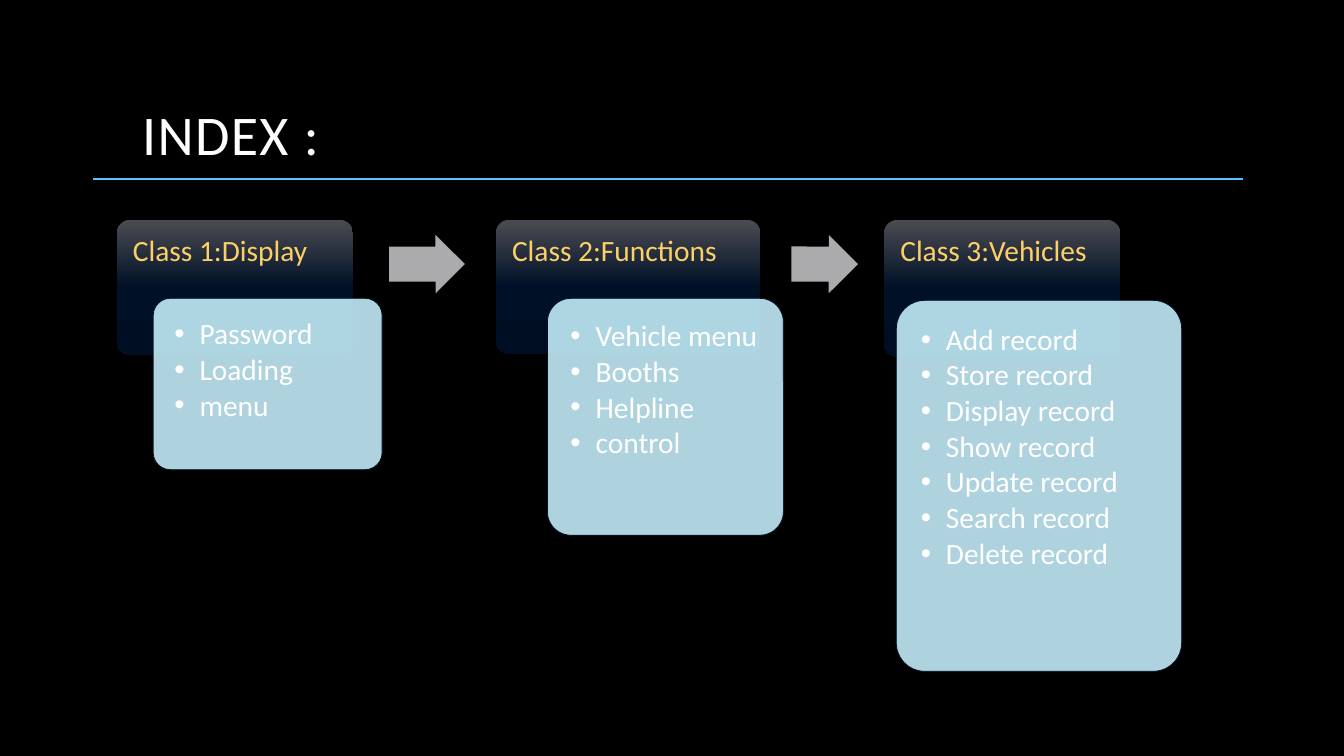
"""Build an index slide that lists three classes and their members."""
from copy import deepcopy
from dataclasses import dataclass

from lxml import etree
from pptx import Presentation
from pptx.dml.color import RGBColor
from pptx.enum import shapes, text
from pptx.oxml.ns import qn
from pptx.util import Inches, Pt


@dataclass(frozen=True)
class Theme:
    background: str = "000000"
    white: str = "FFFFFF"
    heading: str = "FDD067"
    card: str = "C1EBF7"
    card_line: str = "001027"
    arrow: str = "ABABAD"
    rule: str = "56C5FF"
    gradient: tuple = ((0, "4B4C52"), (0.5, "001027"), (1, "000E23"))
    font: str = "Calibri"
    title_size: int = 40
    body_size: int = 21


THEME = Theme()
HEADER_TOP = 2.18
ARROW_TOP = 2.33

CLASSES = [
    ("Class 1:Display", (1.16, 2.34, 1.34), (1.52, 2.96, 2.27, 1.7),
     ["Password", "Loading", "menu"]),
    ("Class 2:Functions", (4.92, 2.62, 1.33), (5.43, 2.96, 2.34, 2.35),
     ["Vehicle menu", "Booths", "Helpline", "control"]),
    ("Class 3:Vehicles", (8.77, 2.34, 1.36), (8.89, 2.98, 2.83, 3.68),
     ["Add record", "Store record", "Display record", "Show record",
      "Update record", "Search record", "Delete record"]),
]
ARROWS = [(3.86, 0.75, 359.9), (7.85, 0.66, 0.1)]


def color(value):
    return RGBColor.from_string(value)


def style_text(text_frame, size, value, space_after=0):
    for paragraph in text_frame.paragraphs:
        paragraph.alignment = text.PP_ALIGN.LEFT
        paragraph.line_spacing = 0.9
        paragraph.space_after = Pt(space_after)
        for run in paragraph.runs:
            run.font.name = THEME.font
            run.font.size = Pt(size)
            run.font.color.rgb = color(value)


def set_margins(text_frame, margin):
    text_frame.word_wrap = True
    text_frame.vertical_anchor = text.MSO_ANCHOR.TOP
    text_frame.margin_left = text_frame.margin_right = Inches(margin)
    text_frame.margin_top = text_frame.margin_bottom = Inches(margin)


def add_preset(slide, kind, box, adjustments):
    shape = slide.shapes.add_shape(kind, *map(Inches, box))
    shape.shadow.inherit = False
    for index, value in enumerate(adjustments):
        shape.adjustments[index] = value
    shape.line.fill.background()
    return shape


def fill_gradient(shape):
    shape.fill.gradient()
    shape.fill.gradient_angle = 270
    stop_list = shape.element.spPr.find(qn("a:gradFill")).find(qn("a:gsLst"))
    stop_list.append(deepcopy(stop_list[-1]))
    for stop, (position, value) in zip(shape.fill.gradient_stops, THEME.gradient):
        stop.position = position
        stop.color.rgb = color(value)


def add_bullet(paragraph):
    properties = paragraph._p.get_or_add_pPr()
    properties.set("marL", str(Inches(0.25)))
    properties.set("indent", str(-Inches(0.25)))
    etree.SubElement(properties, qn("a:buFont")).set("typeface", "Arial")
    etree.SubElement(properties, qn("a:buChar")).set("char", "•")


def add_title(slide, wording):
    title = slide.shapes.title
    title.left, title.top = Inches(1.31), Inches(0.42)
    title.width, title.height = Inches(10.35), Inches(1.29)
    title.text_frame.text = wording
    title.text_frame.vertical_anchor = text.MSO_ANCHOR.BOTTOM
    style_text(title.text_frame, THEME.title_size, THEME.white)
    run = title.text_frame.paragraphs[0].runs[0]
    run.font._element.set("spc", "100")


def add_header(slide, wording, left, width, height):
    header = add_preset(slide, shapes.MSO_SHAPE.ROUNDED_RECTANGLE,
                        (left, HEADER_TOP, width, height), [0.1])
    fill_gradient(header)
    header.text_frame.text = wording
    set_margins(header.text_frame, 0.12)
    style_text(header.text_frame, THEME.body_size, THEME.heading)


def add_card(slide, box, members):
    card = add_preset(slide, shapes.MSO_SHAPE.ROUNDED_RECTANGLE, box, [0.1])
    card.fill.solid()
    card.fill.fore_color.rgb = color(THEME.card)
    fill_color = card.element.spPr.find(qn("a:solidFill"))[0]
    etree.SubElement(fill_color, qn("a:alpha")).set("val", "90000")
    card.line.color.rgb = color(THEME.card_line)
    card.line.width = Pt(0.5)
    card.text_frame.text = "\n".join(members)
    set_margins(card.text_frame, 0.16)
    style_text(card.text_frame, THEME.body_size, THEME.white, space_after=2.8)
    for paragraph in card.text_frame.paragraphs:
        add_bullet(paragraph)


def add_arrow(slide, left, width, rotation):
    arrow = add_preset(slide, shapes.MSO_SHAPE.RIGHT_ARROW,
                       (left, ARROW_TOP, width, 0.58), [0.6, 0.5])
    arrow.rotation = rotation
    arrow.fill.solid()
    arrow.fill.fore_color.rgb = color(THEME.arrow)


def add_rule(slide, left, right, top):
    rule = slide.shapes.add_connector(
        shapes.MSO_CONNECTOR.STRAIGHT, *map(Inches, (left, top, right, top)))
    rule.line.color.rgb = color(THEME.rule)
    rule.line.width = Pt(1.5)
    etree.SubElement(rule._element.spPr, qn("a:effectLst"))


def main():
    presentation = Presentation()
    presentation.slide_width = Inches(13.33)
    presentation.slide_height = Inches(7.5)
    slide = presentation.slides.add_slide(presentation.slide_layouts[5])
    slide.background.fill.solid()
    slide.background.fill.fore_color.rgb = color(THEME.background)
    add_title(slide, "INDEX :")
    for heading, header_box, card_box, members in CLASSES:
        add_header(slide, heading, *header_box)
        add_card(slide, card_box, members)
    for arrow in ARROWS:
        add_arrow(slide, *arrow)
    add_rule(slide, 0.92, 12.33, 1.78)
    presentation.save("out.pptx")


if __name__ == "__main__":
    main()
